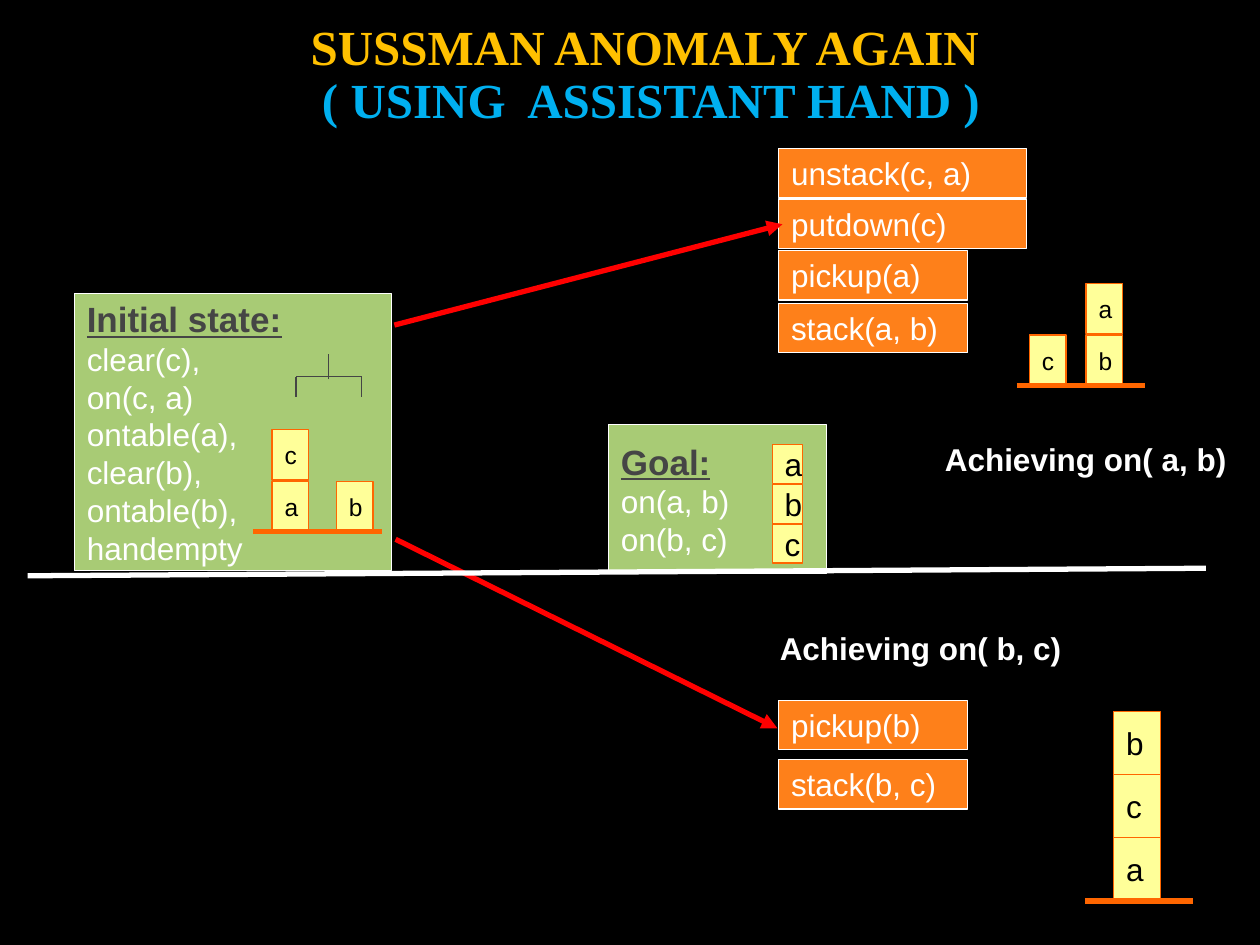
from dataclasses import dataclass
from typing import Any

from lxml.etree import SubElement
from pptx import Presentation
from pptx.dml.color import RGBColor
from pptx.enum.shapes import MSO_CONNECTOR, MSO_SHAPE
from pptx.enum.text import MSO_ANCHOR, MSO_AUTO_SIZE, PP_ALIGN
from pptx.oxml.ns import qn
from pptx.util import Inches, Length, Pt

WIDE, HIGH = Inches(10), Inches(7.5)
COLS, ROWS = 100, 75
HUES = {
    "back": "000000", "gold": "FFC000", "sky": "00B0F0", "state": "A8CB75",
    "step": "FE801A", "block": "FFFF99", "rim": "FF6600", "dark": "454545",
    "white": "FFFFFF", "red": "FF0000",
}


@dataclass(frozen=True)
class Box:
    x: float
    y: float
    w: float
    h: float


@dataclass(frozen=True)
class Line:
    x1: float
    y1: float
    x2: float
    y2: float
    hue: str
    size: float
    arrow: bool = False


@dataclass(frozen=True)
class Tower:
    """Blocks named from top to bottom, one every step rows."""
    box: Box
    step: float
    names: str
    size: int


@dataclass(frozen=True)
class State:
    box: Box
    head: str
    facts: tuple[str, ...]


@dataclass(frozen=True)
class Step:
    y: float
    w: float
    text: str


def col(n: float) -> Length:
    return Length(round(WIDE * n / COLS))


def row(n: float) -> Length:
    return Length(round(HIGH * n / ROWS))


def place(box: Box) -> tuple[Length, ...]:
    return col(box.x), row(box.y), col(box.w), row(box.h)


def tint(name: str) -> RGBColor:
    return RGBColor.from_string(HUES[name])


def write(para: Any, text: str, size: int, hue: str, bold: bool = False,
          under: bool = False, face: str = "Arial") -> None:
    run = para.add_run()
    run.text = text
    font = run.font
    font.name, font.size, font.bold, font.underline = face, Pt(size), bold, under
    font.color.rgb = tint(hue)


def panel(shapes: Any, box: Box, fill: str, rim: str) -> Any:
    """Add a filled box and return its text frame."""
    shape = shapes.add_shape(MSO_SHAPE.RECTANGLE, *place(box))
    shape.shadow.inherit = False
    shape.fill.solid()
    shape.fill.fore_color.rgb = tint(fill)
    shape.line.color.rgb = tint(rim)
    shape.line.width = Pt(0.75)
    frame = shape.text_frame
    frame.word_wrap = False
    frame.vertical_anchor = MSO_ANCHOR.MIDDLE
    frame.paragraphs[0].alignment = PP_ALIGN.LEFT
    return frame


def draw_line(shapes: Any, line: Line) -> None:
    link = shapes.add_connector(MSO_CONNECTOR.STRAIGHT, col(line.x1), row(line.y1),
                                col(line.x2), row(line.y2))
    link.line.color.rgb = tint(line.hue)
    link.line.width = Pt(line.size)
    if line.arrow:
        SubElement(link.line._get_or_add_ln(), qn("a:tailEnd"), type="triangle")
    SubElement(link._element.spPr, qn("a:effectLst"))


def draw_tower(shapes: Any, tower: Tower) -> None:
    box = tower.box
    for i, name in enumerate(tower.names):
        spot = Box(box.x, box.y + i * tower.step, box.w, box.h)
        frame = panel(shapes, spot, "block", "rim")
        write(frame.paragraphs[0], name, tower.size, "back")


def draw_state(shapes: Any, state: State) -> None:
    frame = panel(shapes, state.box, "state", "white")
    write(frame.paragraphs[0], state.head, 20, "dark", True, True)
    for fact in state.facts:
        para = frame.add_paragraph()
        para.alignment = PP_ALIGN.LEFT
        write(para, fact, 18, "white")


def draw_step(shapes: Any, step: Step) -> None:
    frame = panel(shapes, Box(61.8, step.y, step.w, 3.9), "step", "white")
    write(frame.paragraphs[0], step.text, 18, "white")


def draw_note(shapes: Any, box: Box, text: str) -> None:
    frame = shapes.add_textbox(*place(box)).text_frame
    frame.word_wrap = False
    frame.auto_size = MSO_AUTO_SIZE.NONE
    frame.paragraphs[0].alignment = PP_ALIGN.LEFT
    write(frame.paragraphs[0], text, 18, "white", True)


def draw_title(shape: Any) -> None:
    shape.left, shape.top, shape.width, shape.height = place(Box(3.3, -0.2, 96.7, 12.5))
    frame = shape.text_frame
    frame.auto_size = MSO_AUTO_SIZE.NONE
    frame.vertical_anchor = MSO_ANCHOR.MIDDLE
    para = frame.paragraphs[0]
    para.alignment = PP_ALIGN.CENTER
    para.line_spacing = 0.9
    write(para, "SUSSMAN ANOMALY AGAIN ", 28, "gold", True, face="Times New Roman")
    para.add_line_break()
    write(para, "( USING  ASSISTANT HAND )", 28, "sky", True, face="Times New Roman")


START = State(Box(5.9, 23.3, 25.2, 22), "Initial state:",
              ("clear(c),", "on(c, a)", "ontable(a),", "clear(b),", "ontable(b),",
               "handempty"))
GOAL = State(Box(48.3, 33.7, 17.3, 11.8), "Goal:", ("on(a, b)", "on(b, c)"))
HAND = [Line(*ends, "dark", 0.75) for ends in (
    (23.5, 29.9, 28.7, 29.9), (23.5, 29.9, 23.5, 31.5),
    (28.7, 29.9, 28.7, 31.5), (26.1, 30.1, 26.1, 28.1))]
SCENES = [
    (START, HAND + [Line(20.1, 42.2, 30.3, 42.2, "rim", 3)],
     [Tower(Box(21.6, 34.1, 2.9, 4), 4.1, "ca", 14),
      Tower(Box(26.7, 38.2, 2.9, 4), 4.1, "b", 14)]),
    (GOAL, [], [Tower(Box(61.3, 35.3, 2.4, 3.1), 3.15, "abc", 18)]),
    (None, [Line(80.7, 30.6, 90.9, 30.6, "rim", 3)],
     [Tower(Box(86.2, 22.5, 2.9, 4), 4.1, "ab", 14),
      Tower(Box(81.7, 26.6, 2.9, 4), 4.1, "c", 14)]),
    (None, [Line(86.1, 71.5, 94.7, 71.5, "rim", 3.5)],
     [Tower(Box(88.4, 56.5, 3.7, 5), 5, "bca", 18)]),
]
STEPS = [
    Step(11.8, 19.7, "unstack(c, a)"), Step(15.8, 19.7, "putdown(c)"),
    Step(19.9, 15, "pickup(a)"), Step(24.1, 15, "stack(a, b)"),
    Step(55.6, 15, "pickup(b)"), Step(60.3, 15, "stack(b, c)"),
]
LINKS = [
    Line(31.3, 25.8, 62.1, 17.8, "red", 3, True),
    Line(31.4, 42.8, 61.7, 57.8, "red", 3, True),
    Line(2.2, 45.7, 95.7, 45.1, "white", 3),
]


def main() -> None:
    deck = Presentation()
    deck.slide_width, deck.slide_height = WIDE, HIGH
    slide = deck.slides.add_slide(deck.slide_layouts[5])
    slide.background.fill.solid()
    slide.background.fill.fore_color.rgb = tint("back")
    draw_title(slide.shapes.title)
    for state, lines, towers in SCENES:
        group = slide.shapes.add_group_shape().shapes
        if state:
            draw_state(group, state)
        for tower in towers:
            draw_tower(group, tower)
        for line in lines:
            draw_line(group, line)
    for step in STEPS:
        draw_step(slide.shapes, step)
    for link in LINKS:
        draw_line(slide.shapes, link)
    draw_note(slide.shapes, Box(73.4, 34.4, 25.2, 4), " Achieving on( a, b)")
    draw_note(slide.shapes, Box(60.9, 49.4, 24.8, 4), "Achieving on( b, c)")
    deck.save("out.pptx")


if __name__ == "__main__":
    main()
